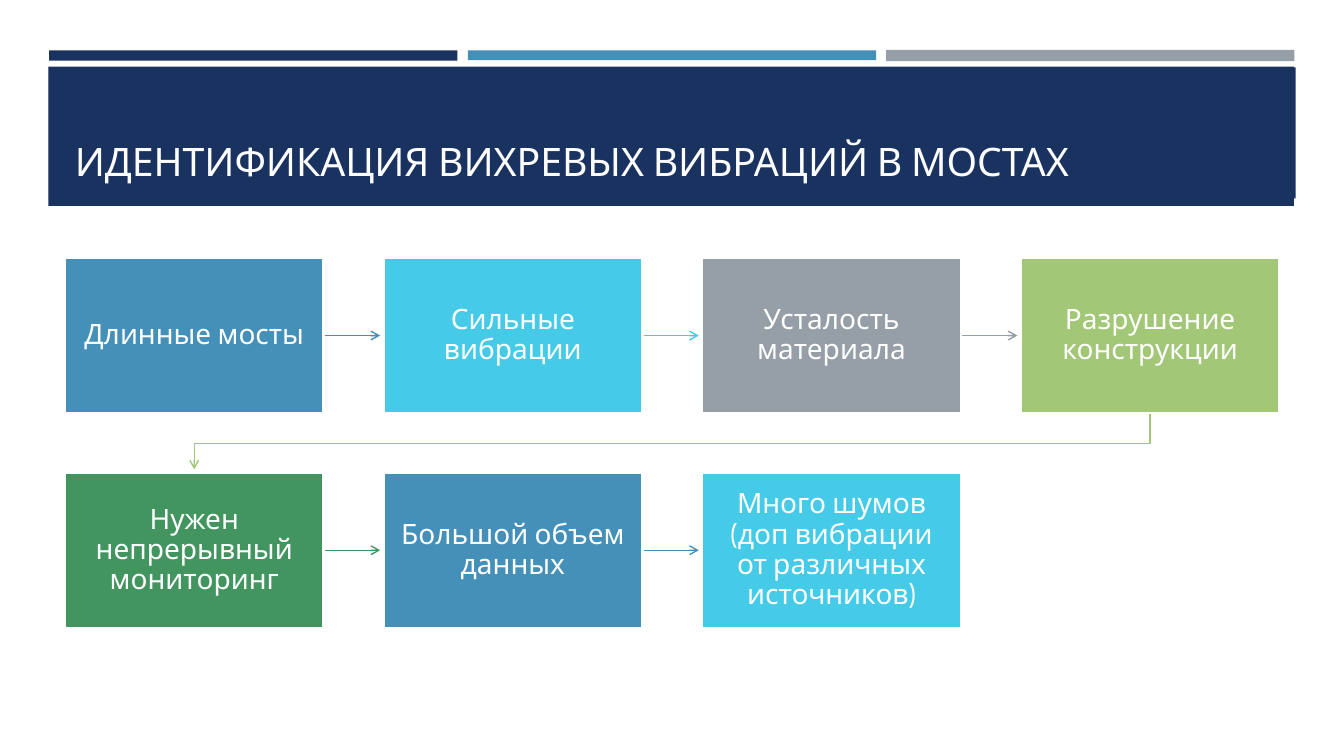
import pptx
import pptx.util
import pptx.dml.color
import pptx.enum.shapes
import pptx.enum.text
import pptx.oxml.ns
import lxml.etree

Cm = pptx.util.Cm
Pt = pptx.util.Pt
ALIGN = pptx.enum.text.PP_ALIGN
ANCHOR = pptx.enum.text.MSO_ANCHOR
NAVY, BLUE, CYAN = "1A3260", "4590B8", "45CBE8"
GREY, LIME, GREEN, WHITE = "969FA7", "A2C777", "42955F", "FFFFFF"

BARS = [
    (1.22, 1.68, 31.39, 3.51, NAVY),
    (1.24, 1.27, 10.29, 0.26, NAVY),
    (22.33, 1.26, 10.29, 0.28, GREY),
    (11.79, 1.27, 10.29, 0.25, BLUE),
    (1.23, 1.7, 31.42, 3.3, NAVY),
]
STEPS = [
    ("Длинные мосты", BLUE),
    ("Сильные вибрации", CYAN),
    ("Усталость материала", GREY),
    ("Разрушение конструкции", LIME),
    ("Нужен непрерывный мониторинг", GREEN),
    ("Большой объем данных", BLUE),
    ("Много шумов (доп вибрации от различных источников)", CYAN),
]
COLS = 4
LEFT, TOP = 1.63, 6.5
WIDE, HIGH = 6.53, 3.91
STEP_X, STEP_Y = 8.03, 5.41
REACH = 1.42  # arrow length, just short of the next box


def paint(target, color):
    """Give a fill or a font a solid colour from a hex string."""
    if hasattr(target, "solid"):
        target.solid()
        target = target.fore_color
    else:
        target = target.color
    target.rgb = pptx.dml.color.RGBColor.from_string(color)


def apply(target, values):
    for name, value in values.items():
        setattr(target, name, value)


def write(shape, text, size, color, align, frame, spacing):
    box = shape.text_frame
    box.text = text
    apply(box, {"word_wrap": True, "auto_size": pptx.enum.text.MSO_AUTO_SIZE.NONE, **frame})
    para = box.paragraphs[0]
    apply(para, {"alignment": align, "line_spacing": spacing})
    font = para.runs[0].font
    apply(font, {"name": "Cabin", "size": Pt(size)})
    paint(font, color)


def add_rect(slide, x, y, w, h, color):
    kind = pptx.enum.shapes.MSO_SHAPE.RECTANGLE
    rect = slide.shapes.add_shape(kind, Cm(x), Cm(y), Cm(w), Cm(h))
    rect.shadow.inherit = False
    paint(rect.fill, color)
    rect.line.fill.background()
    return rect


def add_step(slide, x, y, text, color):
    rect = add_rect(slide, x, y, WIDE, HIGH, color)
    paint(rect.line.fill, WHITE)
    rect.line.width = Pt(1.75)
    sides = ("left", "top", "right", "bottom")
    frame = {f"margin_{side}": Cm(0.32) for side in sides}
    frame["vertical_anchor"] = ANCHOR.MIDDLE
    write(rect, text, 20, WHITE, ALIGN.CENTER, frame, 0.9)
    return rect


def style_line(shape, color):
    """Colour a thin line, put an arrowhead at its end and drop its shadow."""
    paint(shape.line.fill, color)
    shape.line.width = Pt(1)
    qn = pptx.oxml.ns.qn
    props = shape._element.spPr
    lxml.etree.SubElement(props.find(qn("a:ln")), qn("a:tailEnd"), type="arrow")
    if props.find(qn("a:effectLst")) is None:
        lxml.etree.SubElement(props, qn("a:effectLst"))


def add_arrow(slide, x, y, color):
    kind = pptx.enum.shapes.MSO_CONNECTOR.STRAIGHT
    arrow = slide.shapes.add_connector(kind, Cm(x), Cm(y), Cm(x + REACH), Cm(y))
    style_line(arrow, color)
    return arrow


def add_turn(slide, x, y, color):
    """Lead from the end of a row down to the first box of the next."""
    first, bend, end = LEFT + WIDE / 2, y + 0.76, y + REACH
    build = slide.shapes.build_freeform(Cm(x), Cm(y))
    spots = [(x, bend), (first, bend), (first, end)]
    build.add_line_segments([(Cm(a), Cm(b)) for a, b in spots], close=False)
    turn = build.convert_to_shape()
    turn.shadow.inherit = False
    turn.fill.background()
    style_line(turn, color)


def add_title(slide, text):
    title = slide.shapes.title
    apply(title, {"left": Cm(1.63), "top": Cm(1.96), "width": Cm(30.63), "height": Cm(2.82)})
    write(title, text, 28, "FFFEFF", ALIGN.LEFT, {"vertical_anchor": ANCHOR.BOTTOM}, 0.9)
    slide.shapes._spTree.append(title._element)  # bring in front of the bars


def add_flow(slide):
    last = len(STEPS) - 1
    for i, (text, color) in enumerate(STEPS):
        row, col = divmod(i, COLS)
        x, y = LEFT + col * STEP_X, TOP + row * STEP_Y
        arrow = None
        if col == COLS - 1:
            add_turn(slide, x + WIDE / 2, y + HIGH, color)
        elif i < last:
            arrow = add_arrow(slide, x + WIDE, y + HIGH / 2, color)
        rect = add_step(slide, x, y, text, color)
        if arrow is not None:
            arrow.begin_connect(rect, 3)


def main():
    deck = pptx.Presentation()
    apply(deck, {"slide_width": Cm(33.87), "slide_height": Cm(19.05)})
    slide = deck.slides.add_slide(deck.slide_layouts[5])
    for bar in BARS:
        add_rect(slide, *bar)
    add_title(slide, "ИДЕНТИФИКАЦИЯ ВИХРЕВЫХ ВИБРАЦИЙ В МОСТАХ")
    add_flow(slide)
    deck.save("out.pptx")


if __name__ == "__main__":
    main()
